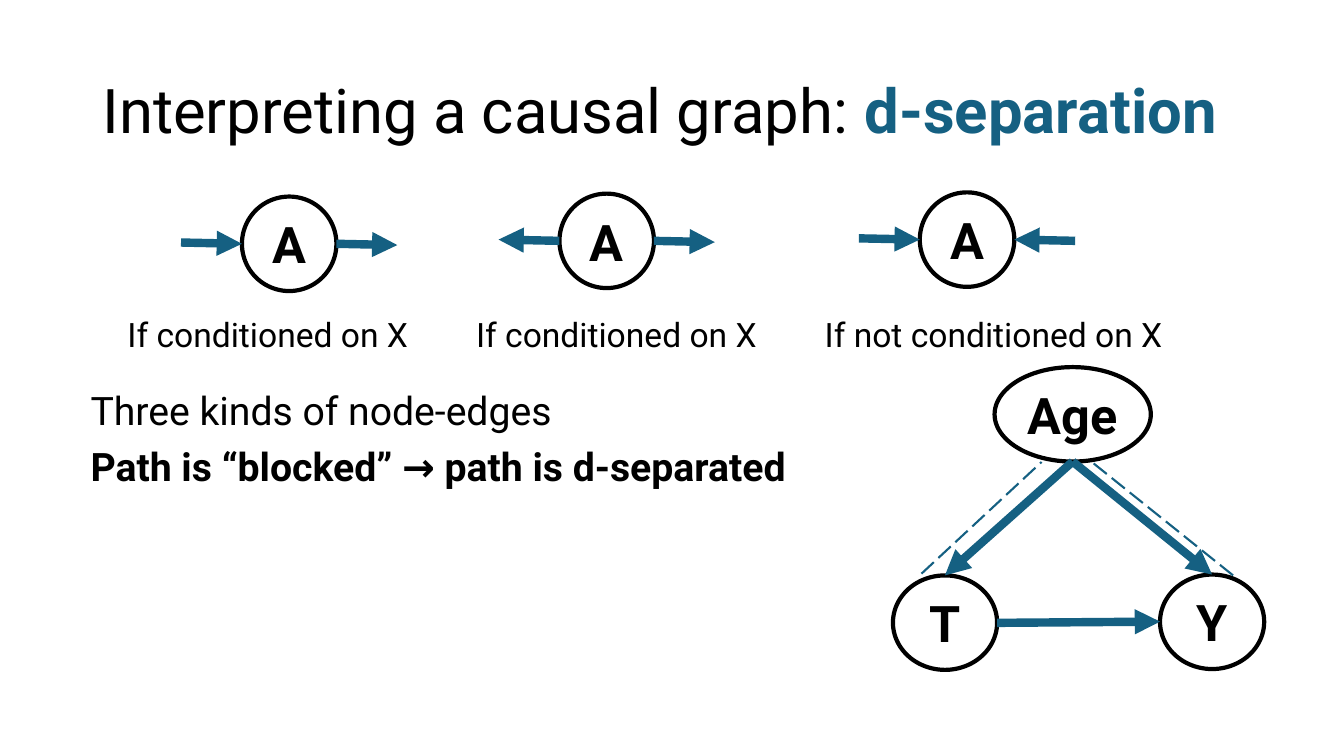
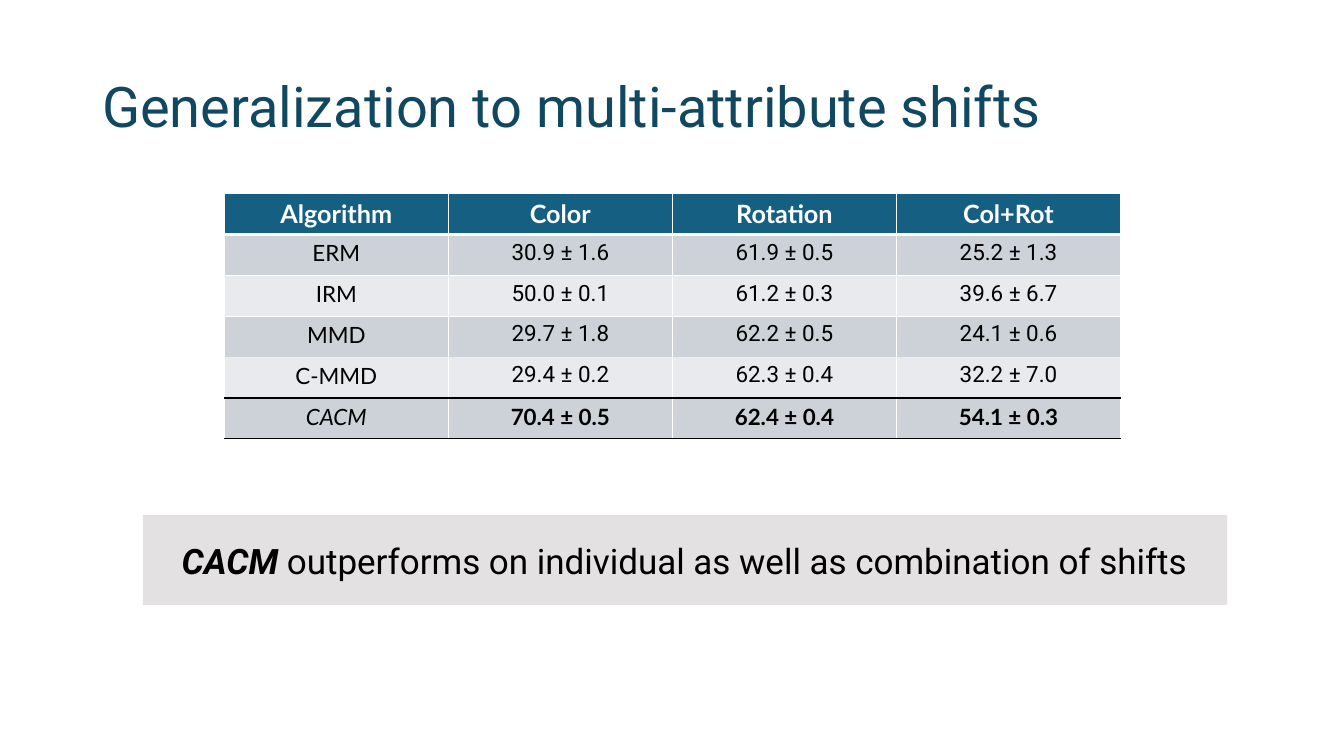
"""Build two slides on causal graphs: d-separation and multi-attribute shifts."""
from lxml import etree
from pptx import Presentation
from pptx import util as u
from pptx.dml import color as dml_color
from pptx.enum import dml, shapes, text
from pptx.oxml import ns

COLUMNS, ROWS = 160, 90
SLIDE_WIDTH, SLIDE_HEIGHT = u.Inches(13.333), u.Inches(7.5)
COLORS = {
    "black": "000000",
    "white": "FFFFFF",
    "accent": "156082",
    "deep": "104862",
    "band": "E3E1E1",
    "odd": "CCD2D8",
    "even": "E8EAED",
}
BODY_FONT, TABLE_FONT = "Roboto", "Lato"
NODE = 11.25
RESULTS = [
    ["Algorithm", "Color", "Rotation", "Col+Rot"],
    ["ERM", "30.9 ± 1.6", "61.9 ± 0.5", "25.2 ± 1.3"],
    ["IRM", "50.0 ± 0.1", "61.2 ± 0.3", "39.6 ± 6.7"],
    ["MMD", "29.7 ± 1.8", "62.2 ± 0.5", "24.1 ± 0.6"],
    ["C-MMD", "29.4 ± 0.2", "62.3 ± 0.4", "32.2 ± 7.0"],
    ["CACM", "70.4 ± 0.5", "62.4 ± 0.4", "54.1 ± 0.3"],
]
ROW_RULES = [("white", 1), ("white", 3), ("white", 1), ("white", 1),
             None, ("black", 1), ("black", 1)]


def across(columns):
    """Turn grid columns into a horizontal length."""
    return u.Emu(round(SLIDE_WIDTH * columns / COLUMNS))


def down(rows):
    """Turn grid rows into a vertical length."""
    return u.Emu(round(SLIDE_HEIGHT * rows / ROWS))


def place(left, top, width, height):
    """Turn a frame in grid units into lengths."""
    return across(left), down(top), across(width), down(height)


def rgb(name):
    """Look up a named colour."""
    return dml_color.RGBColor.from_string(COLORS[name])


def style(span, size, color="black", bold=False, italic=False, font=BODY_FONT):
    """Format one run."""
    span.font.size = u.Pt(size)
    span.font.name = font
    span.font.bold = bold
    span.font.italic = italic
    span.font.color.rgb = rgb(color)


def add_text(page, frame, paragraphs, size, align=text.PP_ALIGN.LEFT,
             anchor=text.MSO_ANCHOR.TOP, spacing=1.0, gap=0):
    """Add a text box whose paragraphs are lists of (words, format) spans."""
    box = page.shapes.add_textbox(*place(*frame))
    body = box.text_frame
    body.word_wrap = True
    body.vertical_anchor = anchor
    for index, spans in enumerate(paragraphs):
        para = body.add_paragraph() if index else body.paragraphs[0]
        para.alignment = align
        para.line_spacing = spacing
        if index:
            para.space_before = u.Pt(gap)
        for words, options in spans:
            span = para.add_run()
            span.text = words
            style(span, size, **options)


def add_title(page, top, width, size, spans):
    """Add the slide title."""
    add_text(page, (11, top, width, 17.4), [spans], size,
             anchor=text.MSO_ANCHOR.MIDDLE, spacing=0.9)


def add_node(page, label, left, top, width=NODE):
    """Add an outlined graph node with a bold label."""
    node = page.shapes.add_shape(shapes.MSO_SHAPE.OVAL, *place(left, top, width, NODE))
    node.shadow.inherit = False
    node.fill.solid()
    node.fill.fore_color.rgb = rgb("white")
    node.line.color.rgb = rgb("black")
    node.line.width = u.Pt(3)
    body = node.text_frame
    body.text = label
    body.word_wrap = False
    body.vertical_anchor = text.MSO_ANCHOR.MIDDLE
    para = body.paragraphs[0]
    para.alignment = text.PP_ALIGN.CENTER
    style(para.runs[0], 36, bold=True)


def add_line(page, start, end, width):
    """Add a plain accent line between two grid points."""
    line = page.shapes.add_connector(
        shapes.MSO_CONNECTOR.STRAIGHT,
        across(start[0]), down(start[1]), across(end[0]), down(end[1]))
    line.line.color.rgb = rgb("accent")
    line.line.width = u.Pt(width)
    etree.SubElement(line._element.spPr, ns.qn("a:effectLst"))
    return line


def add_arrow(page, start, end):
    """Add a thick arrow pointing at its end."""
    arrow = add_line(page, start, end, 6)
    etree.SubElement(arrow.line._get_or_add_ln(), ns.qn("a:tailEnd"), type="triangle")


def add_dashes(page, start, end):
    """Add a thin dashed line."""
    add_line(page, start, end, 1.5).line.dash_style = dml.MSO_LINE.LONG_DASH


def add_node_edges(page, left, top, left_inward, right_inward):
    """Add a node with one edge on each side, pointing in or out."""
    reach, slope = 7.25, 0.15
    middle, right = top + NODE / 2, left + NODE
    add_node(page, "A", left, top)
    edges = [
        ((left - reach, middle - slope), (left, middle), left_inward),
        ((right + reach, middle + slope), (right, middle), right_inward),
    ]
    for outer, inner, inward in edges:
        add_arrow(page, *((outer, inner) if inward else (inner, outer)))


def add_age_graph(page):
    """Add the three-node graph with its dashed path through Age."""
    side = 12.4
    add_node(page, "Age", 118.4, 43.7, 18.6)
    add_node(page, "Y", 138.1, 68.4, side)
    add_node(page, "T", 106.3, 68.5, side)
    age_bottom = (127.7, 54.95)
    add_arrow(page, age_bottom, (112.5, 68.5))
    add_arrow(page, age_bottom, (144.3, 68.4))
    add_arrow(page, (106.3 + side, 74.15), (138.1, 74))
    add_dashes(page, (109.7, 68.3), (124, 55))
    add_dashes(page, (146.8, 68.5), (130.1, 55.1))


def set_border(cell, side, rule):
    """Set one cell border to a (colour, width) rule or to none."""
    border = etree.SubElement(cell._tc.get_or_add_tcPr(), ns.qn("a:ln" + side))
    if rule is None:
        etree.SubElement(border, ns.qn("a:noFill"))
        return
    color, width = rule
    border.set("w", str(u.Pt(width)))
    fill = etree.SubElement(border, ns.qn("a:solidFill"))
    etree.SubElement(fill, ns.qn("a:srgbClr"), val=COLORS[color])


def cell_look(row, column):
    """Return the fill name and text format of a results cell."""
    last = row == len(RESULTS) - 1
    if row == 0:
        return "accent", dict(size=18, color="white", bold=True, font=TABLE_FONT)
    fill = "odd" if row % 2 else "even"
    font = TABLE_FONT if last or column == 0 else BODY_FONT
    return fill, dict(size=16, font=font, bold=last and column > 0,
                      italic=last and column == 0)


def add_results(page):
    """Add the table of accuracies."""
    frame = place(26.7, 23.05, 106.7, 29.2)
    table = page.shapes.add_table(len(RESULTS), len(RESULTS[0]), *frame).table
    for row, values in enumerate(RESULTS):
        for column, value in enumerate(values):
            cell = table.cell(row, column)
            fill, look = cell_look(row, column)
            cell.text = value
            para = cell.text_frame.paragraphs[0]
            para.alignment = text.PP_ALIGN.CENTER
            style(para.runs[0], **look)
            for side, rule in (("L", ("white", 1)), ("R", ("white", 1)),
                               ("T", ROW_RULES[row]), ("B", ROW_RULES[row + 1])):
                set_border(cell, side, rule)
            cell.fill.solid()
            cell.fill.fore_color.rgb = rgb(fill)


def add_band(page, frame):
    """Add the plain band behind the takeaway."""
    band = page.shapes.add_shape(shapes.MSO_SHAPE.RECTANGLE, *place(*frame))
    band.shadow.inherit = False
    band.fill.solid()
    band.fill.fore_color.rgb = rgb("band")
    band.line.fill.background()


def build_separation(page):
    """Build the d-separation slide."""
    add_title(page, 4.8, 138, 44, [
        ("Interpreting a causal graph: ", {}),
        ("d-separation", dict(color="accent", bold=True)),
    ])
    add_node_edges(page, 28.8, 23.4, True, False)
    add_node_edges(page, 66.6, 23.05, False, False)
    add_node_edges(page, 109.5, 22.9, True, True)
    captions = ["If conditioned on X", "If conditioned on X", "If not conditioned on X"]
    for index, caption in enumerate(captions):
        add_text(page, (14 + 41.5 * index, 36.8, 43.9, 5.5), [[(caption, {})]], 24)
    add_text(page, (9.6, 46, 88.7, 14), [
        [("Three kinds of node-edges", {})],
        [("Path is “blocked” → path is d-separated", dict(bold=True))],
    ], 28, spacing=0.9, gap=10)
    add_age_graph(page)


def build_generalization(page):
    """Build the slide of results."""
    add_band(page, (17, 61.3, 129.1, 10.7))
    add_results(page)
    add_text(page, (14.5, 63.6, 133.9, 6.2), [[
        ("CACM ", dict(bold=True, italic=True)),
        ("outperforms on individual as well as combination of shifts", {}),
    ]], 25, align=text.PP_ALIGN.CENTER)
    add_title(page, 4.3, 141, 40, [
        ("Generalization to multi-attribute shifts", dict(color="deep")),
    ])


def main():
    """Build and save the deck."""
    deck = Presentation()
    deck.slide_width, deck.slide_height = SLIDE_WIDTH, SLIDE_HEIGHT
    for build in (build_separation, build_generalization):
        build(deck.slides.add_slide(deck.slide_layouts[6]))
    deck.save("out.pptx")


if __name__ == "__main__":
    main()
